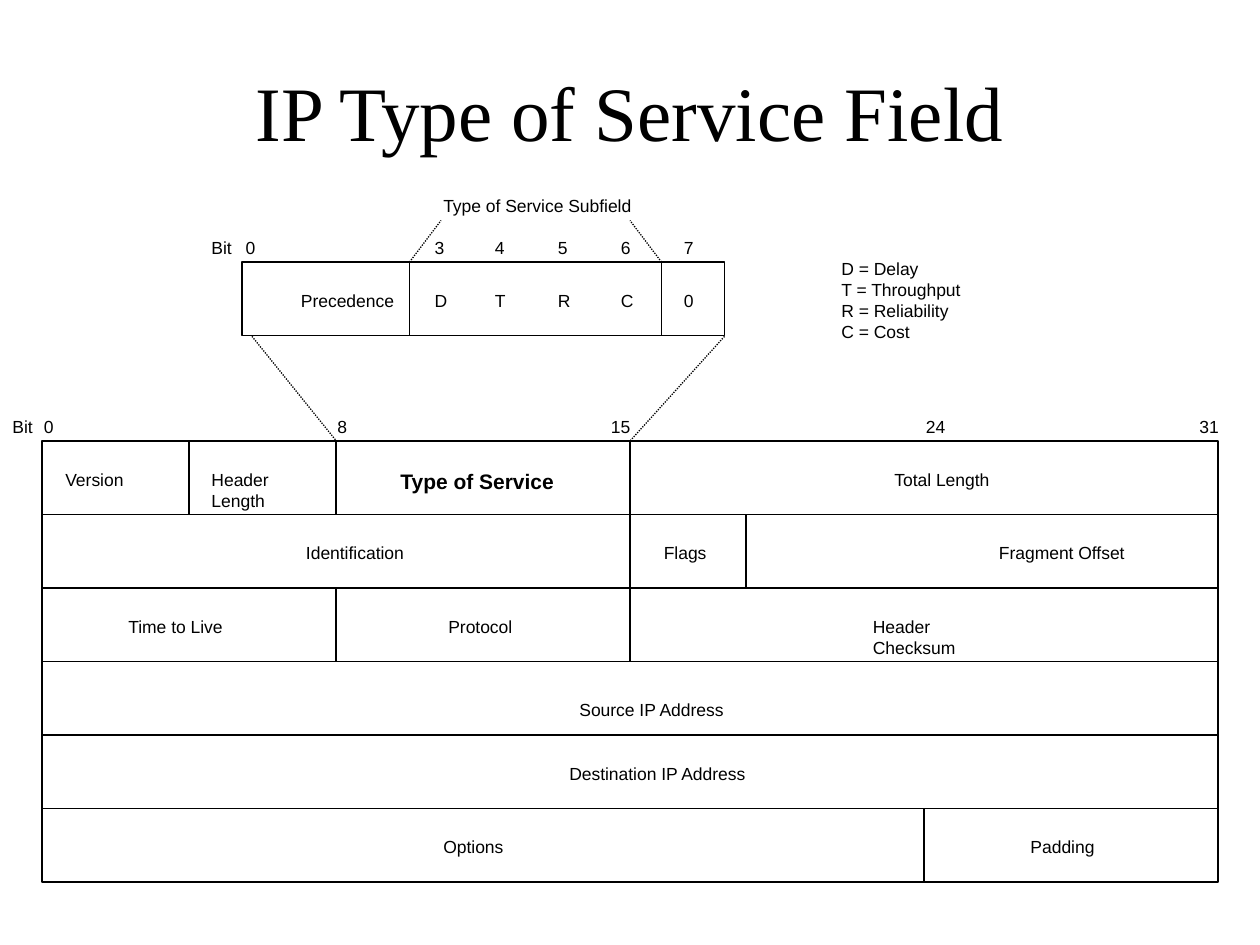
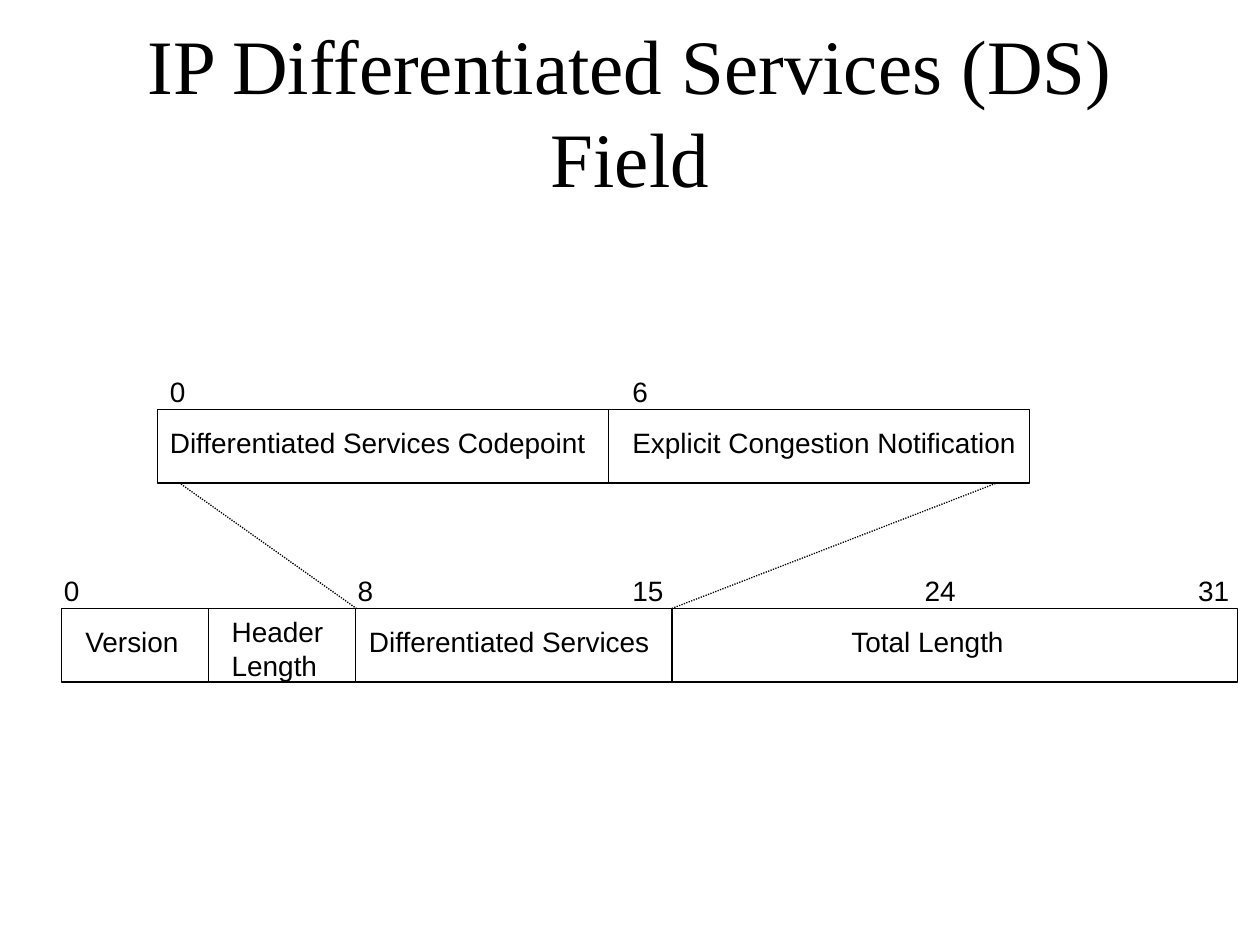
from dataclasses import dataclass

from lxml.etree import SubElement
from pptx import Presentation
from pptx.dml.color import RGBColor
from pptx.enum.dml import MSO_LINE
from pptx.enum.shapes import MSO_CONNECTOR, MSO_SHAPE
from pptx.enum.text import MSO_ANCHOR, MSO_AUTO_SIZE, PP_ALIGN
from pptx.oxml.ns import qn
from pptx.slide import Slide
from pptx.text.text import TextFrame
from pptx.util import Inches, Pt


@dataclass(frozen=True)
class Theme:
    ink: RGBColor = RGBColor(0, 0, 0)
    paper: RGBColor = RGBColor(255, 255, 255)
    serif: str = "Times New Roman"
    sans: str = "Arial"
    title: int = 44
    small: int = 10
    strong: int = 12
    large: int = 16
    line: float = 0.75


@dataclass(frozen=True)
class Label:
    text: str
    left: float
    width: float


@dataclass(frozen=True)
class Field:
    """A header cell; left, room and drop place its text."""
    text: str
    width: float
    left: float
    room: float
    drop: float = 0.17
    lines: int = 1
    bold: bool = False


@dataclass(frozen=True)
class Line:
    x1: float
    y1: float
    x2: float
    y2: float
    dots: bool = True


THEME = Theme()
ROW = 7 / 12  # height of every row of fields
BYTE = 7 / 3  # width of eight header bits


# Text
def write(frame: TextFrame, text: str, *, size: float, font: str = THEME.sans,
          bold: bool = False, align: PP_ALIGN = PP_ALIGN.LEFT) -> None:
    frame.word_wrap = True
    frame.text = text
    for para in frame.paragraphs:
        para.alignment = align
        face = para.runs[0].font
        face.name, face.size, face.bold = font, Pt(size), bold
        face.color.rgb = THEME.ink


def label(slide: Slide, item: Label, top: float, size: float,
          lines: int = 1, bold: bool = False) -> None:
    high = 0.1 + lines * size * 1.2 / 72
    box = slide.shapes.add_textbox(Inches(item.left), Inches(top),
                                   Inches(item.width), Inches(high))
    write(box.text_frame, item.text, size=size, bold=bold)
    box.text_frame.auto_size = MSO_AUTO_SIZE.SHAPE_TO_FIT_TEXT


def labels(slide: Slide, top: float, size: float, items: list[Label]) -> None:
    for item in items:
        label(slide, item, top, size)


# Frames and lines
def frame(slide: Slide, left: float, top: float, width: float) -> None:
    box = slide.shapes.add_shape(MSO_SHAPE.RECTANGLE, Inches(left), Inches(top),
                                 Inches(width), Inches(ROW))
    box.shadow.inherit = False
    box.fill.background()
    box.line.color.rgb = THEME.ink
    box.line.width = Pt(THEME.line)


def rule(slide: Slide, item: Line) -> None:
    link = slide.shapes.add_connector(
        MSO_CONNECTOR.STRAIGHT, Inches(item.x1), Inches(item.y1),
        Inches(item.x2), Inches(item.y2))
    link.line.color.rgb = THEME.ink
    link.line.width = Pt(THEME.line)
    if item.dots:
        link.line.dash_style = MSO_LINE.ROUND_DOT
    SubElement(link._element.spPr, qn("a:effectLst"))


def fields(slide: Slide, left: float, top: float, size: float,
           row: list[Field]) -> None:
    for cell in row:
        frame(slide, left, top, cell.width)
        label(slide, Label(cell.text, cell.left, cell.room), top + cell.drop,
              THEME.strong if cell.bold else size, cell.lines, cell.bold)
        left += cell.width


def zoom(slide: Slide, left: float, top: float, width: float,
         cuts: list[float], rays: list[Line]) -> None:
    """The enlarged field, its dividers and its dotted guides."""
    frame(slide, left, top, width)
    for x in cuts:
        rule(slide, Line(x, top, x, top + ROW, dots=False))
    for ray in rays:
        rule(slide, ray)


def start(deck: Presentation, title: str) -> Slide:
    slide = deck.slides.add_slide(deck.slide_layouts[5])
    slide.background.fill.solid()
    slide.background.fill.fore_color.rgb = THEME.paper
    head = slide.shapes.title
    head.left, head.top = Inches(0.75), Inches(0.25)
    head.width, head.height = Inches(8.5), Inches(1.25)
    write(head.text_frame, title, size=THEME.title, font=THEME.serif,
          align=PP_ALIGN.CENTER)
    head.text_frame.auto_size = MSO_AUTO_SIZE.NONE
    head.text_frame.vertical_anchor = MSO_ANCHOR.MIDDLE
    return slide


# Slide 1: the whole header with its service field enlarged
def service(deck: Presentation) -> None:
    slide = start(deck, "IP Type of Service Field")
    size = THEME.small
    rows = [
        [Field("Version", BYTE / 2, 0.42, 0.75),
         Field("Header Length", BYTE / 2, 1.58, 1.08, lines=2),
         Field("Type of Service", BYTE, 3.08, 1.5, bold=True),
         Field("Total Length", 2 * BYTE, 7, 1)],
        [Field("Identification", 2 * BYTE, 2.33, 1.25),
         Field("Flags", 0.92, 5.17, 0.75),
         Field("Fragment Offset", 2 * BYTE - 0.92, 7.83, 1.33)],
        [Field("Time to Live", BYTE, 0.92, 1.08),
         Field("Protocol", BYTE, 3.46, 0.75),
         Field("Header Checksum", 2 * BYTE, 6.83, 1.33, lines=2)],
        [Field("Source IP Address", 4 * BYTE, 4.5, 1.42, drop=0.25)],
        [Field("Destination IP Address", 4 * BYTE, 4.42, 1.83)],
        [Field("Options", 3 * BYTE, 3.42, 0.75),
         Field("Padding", BYTE, 8.08, 0.75)],
    ]
    for i, row in enumerate(rows):
        fields(slide, 1 / 3, 3.5 + i * ROW, size, row)
    labels(slide, 3.25, size, [
        Label("Bit", 0, 0.42), Label("0", 0.25, 0.33), Label("8", 2.58, 0.33),
        Label("15", 4.75, 0.92), Label("24", 7.25, 0.92),
        Label("31", 9.42, 0.42)])

    # Enlarged field
    zoom(slide, 1.92, 2.08, 3.83, [3.25, 5.25], [
        Line(2, 2.67, 2.67, 3.5), Line(5.75, 2.67, 5, 3.5),
        Line(3.25, 2.08, 3.5, 1.75), Line(5.25, 2.08, 5, 1.75)])
    spots = [3.35, 3.83, 4.33, 4.83, 5.33]
    for top, marks in ((1.83, "34567"), (2.25, "DTRC0")):
        labels(slide, top, size,
               [Label(mark, x, 0.35) for mark, x in zip(marks, spots)])
    labels(slide, 1.83, size, [Label("Bit", 1.58, 0.44), Label("0", 1.85, 0.35)])
    label(slide, Label("Precedence", 2.29, 1.24), 2.25, size)
    label(slide, Label("Type of Service Subfield", 3.42, 1.83), 1.5, size)

    # Key
    key = "D = Delay\nT = Throughput\nR = Reliability\nC = Cost"
    label(slide, Label(key, 6.58, 2), 2, size, lines=4)


# Slide 2: the first header row with its DS field enlarged
def differ(deck: Presentation) -> None:
    slide = start(deck, "IP Differentiated Services (DS) Field")
    size = THEME.large
    fields(slide, 0.49, 4.83, size, [
        Field("Version", BYTE / 2, 0.58, 1, drop=0.08),
        Field("Header Length", BYTE / 2, 1.74, 1.08, drop=0, lines=2),
        Field("Differentiated Services", 2.51, 2.83, 2.58, drop=0.08),
        Field("Total Length", 4.49, 6.66, 1.83, drop=0.08)])
    labels(slide, 4.5, size, [
        Label("0", 0.41, 0.33), Label("8", 2.74, 0.33), Label("15", 4.92, 0.92),
        Label("24", 7.24, 0.92), Label("31", 9.41, 0.58)])

    # Enlarged field
    zoom(slide, 1.25, 3.25, 6.92, [4.83], [
        Line(1.42, 3.83, 2.83, 4.83), Line(7.92, 3.83, 5.33, 4.83)])
    labels(slide, 2.92, size, [Label("0", 1.25, 0.35), Label("6", 4.92, 0.35)])
    labels(slide, 3.33, size, [
        Label("Differentiated Services Codepoint", 1.25, 6.42),
        Label("Explicit Congestion Notification", 4.92, 3.58)])


def main() -> None:
    deck = Presentation()
    deck.slide_width, deck.slide_height = Inches(10), Inches(7.5)
    service(deck)
    differ(deck)
    deck.save("out.pptx")


if __name__ == "__main__":
    main()
